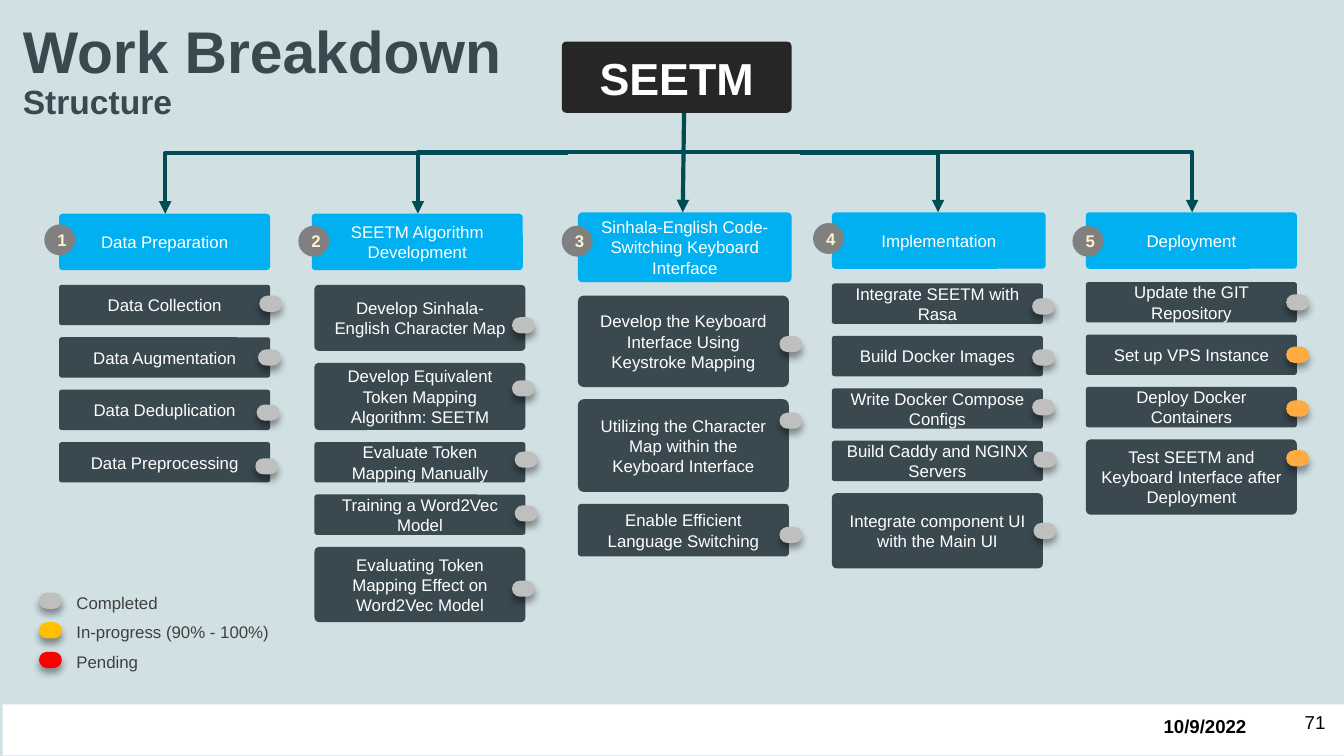
from dataclasses import dataclass

from lxml.etree import SubElement
from pptx import Presentation
from pptx.dml.color import RGBColor
from pptx.enum.shapes import MSO_CONNECTOR as Connector, MSO_SHAPE as Preset
from pptx.enum.text import MSO_ANCHOR as Anchor, MSO_AUTO_SIZE as AutoSize, PP_ALIGN as Align
from pptx.oxml.ns import qn
from pptx.shapes.autoshape import Shape
from pptx.slide import Slide
from pptx.util import Inches, Pt

FONT = "Arial"
WHITE = RGBColor(0xFF, 0xFF, 0xFF)
BLACK = RGBColor(0x00, 0x00, 0x00)
BACKGROUND = RGBColor(0xD0, 0xE0, 0xE3)
SLATE = RGBColor(0x3A, 0x49, 0x50)
BLUE = RGBColor(0x00, 0xB0, 0xF0)
CHARCOAL = RGBColor(0x26, 0x26, 0x26)
BADGE_GRAY = RGBColor(0x80, 0x80, 0x80)
CREAM = RGBColor(0xFE, 0xF2, 0xCC)
TEAL = RGBColor(0x00, 0x4C, 0x54)
LEGEND_TEXT = RGBColor(0x40, 0x40, 0x40)
DONE = RGBColor(0xBF, 0xBF, 0xBF)
ONGOING = RGBColor(0xFF, 0xAB, 0x40)
AMBER = RGBColor(0xFF, 0xC0, 0x00)
RED = RGBColor(0xFF, 0x00, 0x00)

SLIDE_WIDTH = Inches(10)
SLIDE_HEIGHT = SLIDE_WIDTH * 9 // 16
TASK_WIDTH = 1.57
TASK_GAP = 0.09
BADGE_SIZE = 0.23
CORNER = 0.064


@dataclass(frozen=True)
class Box:
    left: float
    top: float
    width: float
    height: float


@dataclass(frozen=True)
class Task:
    text: str
    height: float
    pill_left: float
    pill_top: float
    status: RGBColor = DONE


@dataclass(frozen=True)
class Phase:
    title: str
    header: Box
    badge_left: float
    badge_top: float
    task_left: float
    task_top: float
    tasks: tuple[Task, ...]


@dataclass(frozen=True)
class Arrow:
    start: tuple[float, float]
    end: tuple[float, float]
    bent: bool = True


PHASES = (
    Phase("Data Preparation", Box(0.44, 1.59, 1.57, 0.42), 0.33, 1.67, 0.44, 2.12, (
        Task("Data Collection", 0.3, 1.93, 2.2),
        Task("Data Augmentation", 0.3, 1.92, 2.6),
        Task("Data Deduplication", 0.3, 1.91, 3.01),
        Task("Data Preprocessing", 0.3, 1.9, 3.41),
    )),
    Phase("SEETM Algorithm Development", Box(2.32, 1.59, 1.57, 0.42), 2.22, 1.68, 2.34, 2.12, (
        Task("Develop Sinhala-English Character Map", 0.49, 3.81, 2.36),
        Task("Develop Equivalent Token Mapping Algorithm: SEETM", 0.5, 3.81, 2.83),
        Task("Evaluate Token Mapping Manually", 0.3, 3.83, 3.36),
        Task("Training a Word2Vec Model", 0.3, 3.83, 3.76),
        Task("Evaluating Token Mapping Effect on Word2Vec Model", 0.56, 3.81, 4.32),
    )),
    Phase("Sinhala-English Code-Switching Keyboard Interface", Box(4.3, 1.58, 1.59, 0.52),
          4.18, 1.68, 4.3, 2.2, (
        Task("Develop the Keyboard Interface Using Keystroke Mapping", 0.68, 5.8, 2.5),
        Task("Utilizing the Character Map within the Keyboard Interface", 0.69, 5.8, 3.07),
        Task("Enable Efficient Language Switching", 0.39, 5.8, 3.92),
    )),
    Phase("Implementation", Box(6.19, 1.58, 1.59, 0.42), 6.05, 1.66, 6.19, 2.11, (
        Task("Integrate SEETM with Rasa", 0.3, 7.68, 2.22),
        Task("Build Docker Images", 0.3, 7.68, 2.6),
        Task("Write Docker Compose Configs", 0.3, 7.68, 2.97),
        Task("Build Caddy and NGINX Servers", 0.3, 7.69, 3.36),
        Task("Integrate component UI with the Main UI", 0.56, 7.69, 3.89),
    )),
    Phase("Deployment", Box(8.08, 1.58, 1.57, 0.42), 7.98, 1.68, 8.08, 2.1, (
        Task("Update the GIT Repository", 0.3, 9.57, 2.19),
        Task("Set up VPS Instance", 0.3, 9.57, 2.58, ONGOING),
        Task("Deploy Docker Containers", 0.3, 9.57, 2.98, ONGOING),
        Task("Test SEETM and Keyboard Interface after Deployment", 0.56, 9.57, 3.35, ONGOING),
    )),
)

ARROWS = (
    Arrow((4.23, 1.14), (1.23, 1.59)),
    Arrow((5.03, 1.13), (3.11, 1.59)),
    Arrow((4.97, 1.13), (8.87, 1.58)),
    Arrow((5.95, 1.14), (6.98, 1.58)),
    Arrow((5.09, 0.84), (5.08, 1.58), bent=False),
)

LEGEND = (("Completed", DONE), ("In-progress (90% - 100%)", AMBER), ("Pending", RED))


def write(shape: Shape, lines: list[tuple[str, float]], color: RGBColor, bold: bool = False,
          align: Align = Align.LEFT, anchor: Anchor = Anchor.TOP, spacing: float = 1.0) -> None:
    frame = shape.text_frame
    frame.word_wrap = True
    frame.vertical_anchor = anchor
    for index, (text, size) in enumerate(lines):
        paragraph = frame.add_paragraph() if index else frame.paragraphs[0]
        paragraph.text = text
        paragraph.alignment = align
        paragraph.line_spacing = spacing
        font = paragraph.font
        font.name, font.size, font.bold = FONT, Pt(size), bold
        font.color.rgb = color


def add_box(slide: Slide, preset: Preset, box: Box, fill: RGBColor, corner: float = CORNER) -> Shape:
    shape = slide.shapes.add_shape(preset, Inches(box.left), Inches(box.top),
                                   Inches(box.width), Inches(box.height))
    shape.shadow.inherit = False
    shape.fill.solid()
    shape.fill.fore_color.rgb = fill
    shape.line.fill.background()
    if preset == Preset.ROUNDED_RECTANGLE:
        shape.adjustments[0] = corner
    return shape


def add_label(slide: Slide, preset: Preset, box: Box, fill: RGBColor, text: str,
              size: float = 9, color: RGBColor = WHITE, bold: bool = False) -> None:
    shape = add_box(slide, preset, box, fill)
    write(shape, [(text, size)], color, bold, Align.CENTER, Anchor.MIDDLE)


def add_text(slide: Slide, box: Box) -> Shape:
    return slide.shapes.add_textbox(Inches(box.left), Inches(box.top),
                                    Inches(box.width), Inches(box.height))


def add_pill(slide: Slide, left: float, top: float, fill: RGBColor) -> None:
    pill = add_box(slide, Preset.ROUNDED_RECTANGLE, Box(left, top, 0.17, 0.12), fill, 0.5)
    effects = pill.element.spPr.find(qn("a:effectLst"))
    shadow = SubElement(effects, qn("a:outerShdw"), blurRad=str(Pt(4)), dist=str(Pt(3)),
                        dir="5400000", rotWithShape="0")
    color = SubElement(shadow, qn("a:srgbClr"), val="000000")
    SubElement(color, qn("a:alpha"), val="40000")


def add_arrow(slide: Slide, arrow: Arrow) -> None:
    kind = Connector.ELBOW if arrow.bent else Connector.STRAIGHT
    connector = slide.shapes.add_connector(kind, *map(Inches, arrow.start + arrow.end))
    connector.line.color.rgb = TEAL
    connector.line.width = Pt(2.25)
    properties = connector.element.spPr
    if arrow.bent:
        properties.find(qn("a:prstGeom")).set("prst", "bentConnector2")
    SubElement(properties.find(qn("a:ln")), qn("a:tailEnd"), type="triangle")
    SubElement(properties, qn("a:effectLst"))


def add_phase(slide: Slide, number: int, phase: Phase) -> None:
    add_label(slide, Preset.ROUNDED_RECTANGLE, phase.header, BLUE, phase.title)
    badge = Box(phase.badge_left, phase.badge_top, BADGE_SIZE, BADGE_SIZE)
    add_label(slide, Preset.OVAL, badge, BADGE_GRAY, str(number), color=CREAM, bold=True)
    top = phase.task_top
    for task in phase.tasks:
        box = Box(phase.task_left, top, TASK_WIDTH, task.height)
        add_label(slide, Preset.ROUNDED_RECTANGLE, box, SLATE, task.text)
        add_pill(slide, task.pill_left, task.pill_top, task.status)
        top += task.height + TASK_GAP


def main() -> None:
    presentation = Presentation()
    presentation.slide_width, presentation.slide_height = SLIDE_WIDTH, SLIDE_HEIGHT
    slide = presentation.slides.add_slide(presentation.slide_layouts[6])
    slide.background.fill.solid()
    slide.background.fill.fore_color.rgb = BACKGROUND

    add_box(slide, Preset.RECTANGLE, Box(0.02, 5.24, 9.98, 0.38), WHITE)
    write(add_text(slide, Box(8.56, 5.27, 0.83, 0.27)), [("10/9/2022", 10)], BLACK, bold=True)
    write(add_text(slide, Box(9.36, 5.13, 0.6, 0.49)), [("71", 10)], BLACK,
          align=Align.RIGHT, anchor=Anchor.MIDDLE)

    title = add_text(slide, Box(0.1, 0.11, 4.51, 0.84))
    frame = title.text_frame
    frame.margin_left = frame.margin_right = Inches(0.07)
    frame.margin_top = frame.margin_bottom = Inches(0.04)
    write(title, [("Work Breakdown", 31.5), ("Structure", 18)], SLATE, bold=True,
          anchor=Anchor.BOTTOM, spacing=0.9)

    add_label(slide, Preset.ROUNDED_RECTANGLE, Box(4.18, 0.31, 1.71, 0.53), CHARCOAL,
              "SEETM", size=24, bold=True)
    for number, phase in enumerate(PHASES, start=1):
        add_phase(slide, number, phase)
    for arrow in ARROWS:
        add_arrow(slide, arrow)

    for row, (text, color) in enumerate(LEGEND):
        offset = 0.22 * row
        add_pill(slide, 0.29, 4.41 + offset, color)
        label = add_text(slide, Box(0.47, 4.36 + offset, 2.71, 0.25))
        label.text_frame.auto_size = AutoSize.SHAPE_TO_FIT_TEXT
        write(label, [(text, 9)], LEGEND_TEXT)

    presentation.save("out.pptx")


if __name__ == "__main__":
    main()
